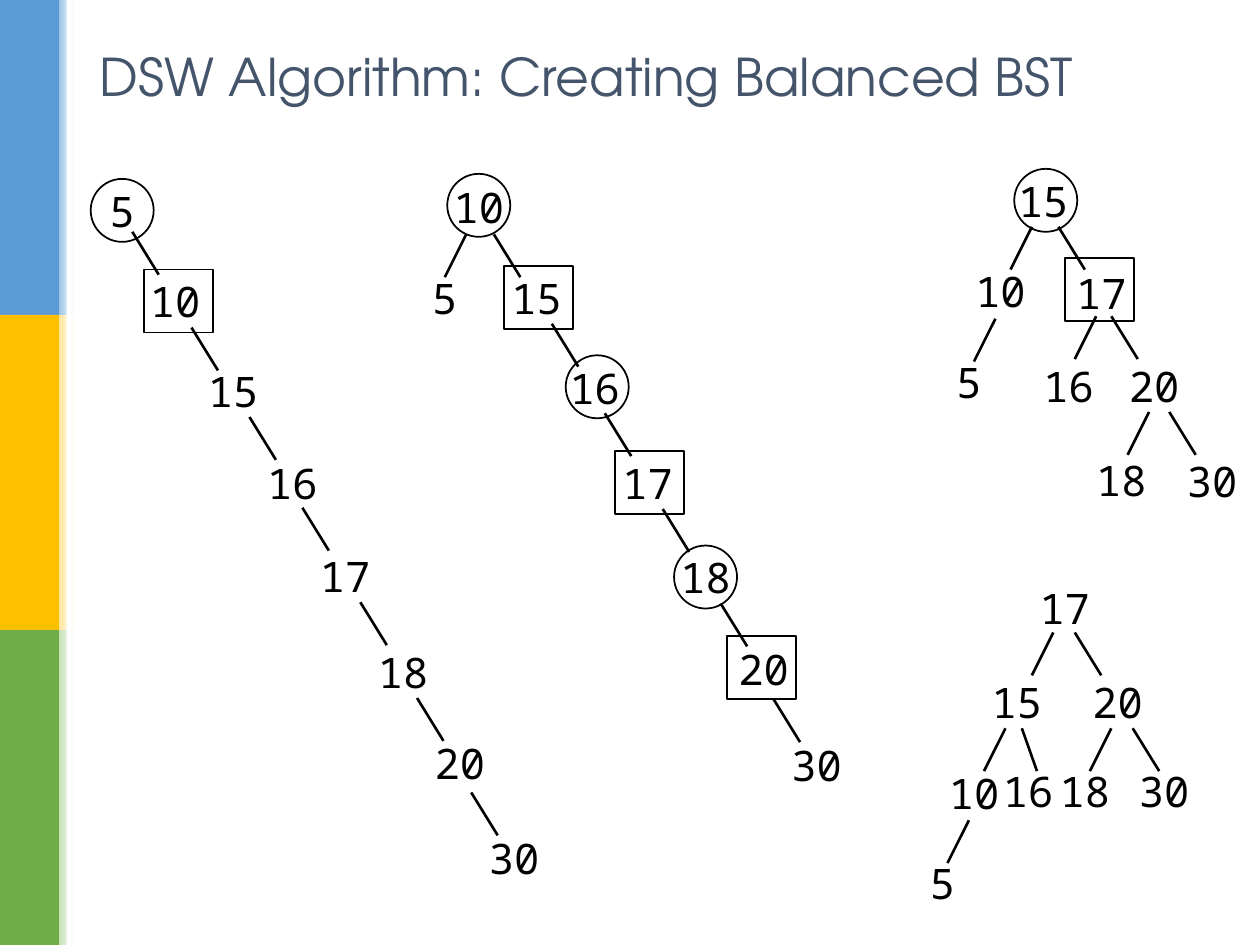
"""Build a slide showing how the DSW algorithm rotates a backbone into a balanced BST."""
from dataclasses import dataclass, field

from lxml import etree
from pptx import Presentation
from pptx import util as u
from pptx.dml.color import RGBColor
from pptx.enum import shapes, text
from pptx.oxml.ns import qn

COLORS = {"title": "44546A", "ink": "000000", "paper": "FFFFFF"}
TITLE_FONT, NODE_FONT = "TeX Gyre Adventor", "Noto Sans Mono"
NARROW, WIDE = (0.68, 0.45), (0.76, 0.46)
RIGHT_STEP, LEFT_STEP, STEEP_STEP = (0.21, 0.34), (-0.17, 0.34), (0.12, 0.34)
BAND_HEIGHT, BAND_WIDTH, FADE_WIDTH = 2.5, 0.47, 0.12


@dataclass
class Band:
    solid: str
    pale: str


@dataclass
class Node:
    value: int
    left: float
    top: float
    size: tuple[float, float] = NARROW


@dataclass
class Tree:
    nodes: list[Node]
    right_edges: list[tuple[float, float]]
    left_edges: list[tuple[float, float]] = field(default_factory=list)
    steep_edges: list[tuple[float, float]] = field(default_factory=list)
    circles: list[tuple[float, float]] = field(default_factory=list)
    squares: list[tuple[float, float]] = field(default_factory=list)


BANDS = [Band("5B9BD5", "9DC3E6"), Band("FFC000", "FFE699"), Band("70AD47", "C5E0B4")]

BACKBONE = Tree(
    nodes=[Node(5, 0.63, 1.42), Node(10, 1.05, 2.14), Node(15, 1.47, 2.85, WIDE),
           Node(16, 1.98, 3.58), Node(17, 2.36, 4.32, WIDE), Node(18, 2.82, 5.08, WIDE),
           Node(20, 3.31, 5.8), Node(30, 3.74, 6.56)],
    right_edges=[(1.05, 1.84), (1.52, 2.6), (1.98, 3.31), (2.4, 4.03),
                 (2.86, 4.78), (3.31, 5.54), (3.74, 6.29)],
    circles=[(0.72, 1.42)],
    squares=[(1.14, 2.14)],
)
FIRST_ROTATION = Tree(
    nodes=[Node(10, 3.46, 1.39), Node(5, 3.19, 2.11), Node(15, 3.88, 2.11, WIDE),
           Node(16, 4.38, 2.83), Node(17, 4.76, 3.58, WIDE), Node(18, 5.22, 4.33, WIDE),
           Node(20, 5.72, 5.06), Node(30, 6.14, 5.82)],
    right_edges=[(3.92, 1.86), (4.38, 2.57), (4.8, 3.28), (5.26, 4.04),
                 (5.72, 4.79), (6.14, 5.55)],
    left_edges=[(3.7, 1.86)],
    circles=[(3.55, 1.38), (4.49, 2.82), (5.35, 4.33)],
    squares=[(4, 2.11), (4.88, 3.58), (5.77, 5.05)],
)
SECOND_ROTATION = Tree(
    nodes=[Node(15, 7.9, 1.34, WIDE), Node(10, 7.6, 2.06), Node(17, 8.4, 2.07),
           Node(5, 7.35, 2.78), Node(16, 8.14, 2.81), Node(20, 8.78, 2.81, WIDE),
           Node(18, 8.56, 3.56), Node(30, 9.24, 3.57, WIDE)],
    right_edges=[(8.4, 1.8), (8.82, 2.51), (9.28, 3.27)],
    left_edges=[(8.19, 1.8), (7.9, 2.53), (8.7, 2.51), (9.12, 3.27)],
    circles=[(8.05, 1.34)],
    squares=[(8.45, 2.05)],
)
BALANCED = Tree(
    nodes=[Node(17, 8.11, 4.57), Node(15, 7.69, 5.32, WIDE), Node(20, 8.49, 5.32, WIDE),
           Node(10, 7.39, 6.04), Node(16, 7.82, 6.03), Node(18, 8.27, 6.03),
           Node(30, 8.86, 6.03, WIDE), Node(5, 7.14, 6.76)],
    right_edges=[(8.53, 5.02), (8.99, 5.78)],
    left_edges=[(8.36, 5.02), (7.98, 5.78), (8.82, 5.78), (7.69, 6.51)],
    steep_edges=[(8.11, 5.78)],
)


def length(inches: float) -> u.Length:
    return u.Cm(inches * 2.54)


def box(*inches: float) -> list[u.Length]:
    return [length(value) for value in inches]


def rgb(color: str) -> RGBColor:
    return RGBColor.from_string(color)


def add_run(paragraph, words: str, font: str, size: float, color: str) -> None:
    run = paragraph.add_run()
    run.text = words
    run.font.name, run.font.size = font, u.Pt(size)
    run.font.color.rgb = rgb(color)


def draw_bar(slide, *place: float):
    bar = slide.shapes.add_shape(shapes.MSO_SHAPE.RECTANGLE, *box(*place))
    bar.shadow.inherit = False
    bar.line.fill.background()
    return bar.fill


def draw_bands(slide) -> None:
    for row, band in enumerate(BANDS):
        top = row * BAND_HEIGHT
        solid = draw_bar(slide, 0, top, BAND_WIDTH, BAND_HEIGHT)
        solid.solid()
        solid.fore_color.rgb = rgb(band.solid)
        fade = draw_bar(slide, BAND_WIDTH, top, FADE_WIDTH, BAND_HEIGHT)
        fade.gradient()
        fade.gradient_angle = 0
        for stop, color in zip(fade.gradient_stops, (band.pale, COLORS["paper"])):
            stop.color.rgb = rgb(color)
    gap = draw_bar(slide, 0.53, 0, 0.04, 3 * BAND_HEIGHT)
    gap.solid()
    gap.fore_color.rgb = rgb(COLORS["paper"])


def draw_title(slide, words: str) -> None:
    title = slide.shapes.title
    title.left, title.top, title.width, title.height = box(0.69, 0.26, 8.62, 0.68)
    frame = title.text_frame
    frame.auto_size = text.MSO_AUTO_SIZE.NONE
    frame.vertical_anchor = text.MSO_ANCHOR.MIDDLE
    frame.paragraphs[0].alignment = text.PP_ALIGN.LEFT
    add_run(frame.paragraphs[0], words, TITLE_FONT, 29.7, COLORS["title"])


def draw_node(slide, node: Node) -> None:
    frame = slide.shapes.add_textbox(*box(node.left, node.top, *node.size)).text_frame
    frame.word_wrap = True
    label = frame.paragraphs[0]
    label.alignment = text.PP_ALIGN.CENTER
    hanging = length(0.38)
    properties = label._p.get_or_add_pPr()
    properties.set("marL", str(hanging))
    properties.set("indent", str(-hanging))
    add_run(label, str(node.value), NODE_FONT, 24, COLORS["ink"])


def draw_edge(slide, start: tuple[float, float], step: tuple[float, float]) -> None:
    (x, y), (dx, dy) = start, step
    edge = slide.shapes.add_connector(shapes.MSO_CONNECTOR.STRAIGHT, *box(x, y, x + dx, y + dy))
    edge.line.color.rgb = rgb(COLORS["ink"])
    edge.line.width = u.Pt(1.5)
    etree.SubElement(edge._element.spPr, qn("a:effectLst"))


def draw_mark(slide, outline, corner: tuple[float, float], width: float) -> None:
    mark = slide.shapes.add_shape(outline, *box(*corner, width, 0.5))
    mark.shadow.inherit = False
    mark.fill.background()
    mark.line.color.rgb = rgb(COLORS["ink"])
    mark.line.width = u.Pt(1)


def draw_tree(slide, tree: Tree) -> None:
    for node in tree.nodes:
        draw_node(slide, node)
    for starts, step in ((tree.right_edges, RIGHT_STEP), (tree.left_edges, LEFT_STEP),
                         (tree.steep_edges, STEEP_STEP)):
        for start in starts:
            draw_edge(slide, start, step)
    for corners, outline, width in ((tree.circles, shapes.MSO_SHAPE.OVAL, 0.5),
                                    (tree.squares, shapes.MSO_SHAPE.RECTANGLE, 0.55)):
        for corner in corners:
            draw_mark(slide, outline, corner, width)


def main() -> None:
    deck = Presentation()
    deck.slide_width, deck.slide_height = box(10, 7.5)
    slide = deck.slides.add_slide(deck.slide_layouts[5])
    draw_bands(slide)
    draw_title(slide, "DSW Algorithm: Creating Balanced BST")
    for tree in (BACKBONE, FIRST_ROTATION, SECOND_ROTATION, BALANCED):
        draw_tree(slide, tree)
    deck.save("out.pptx")


if __name__ == "__main__":
    main()
